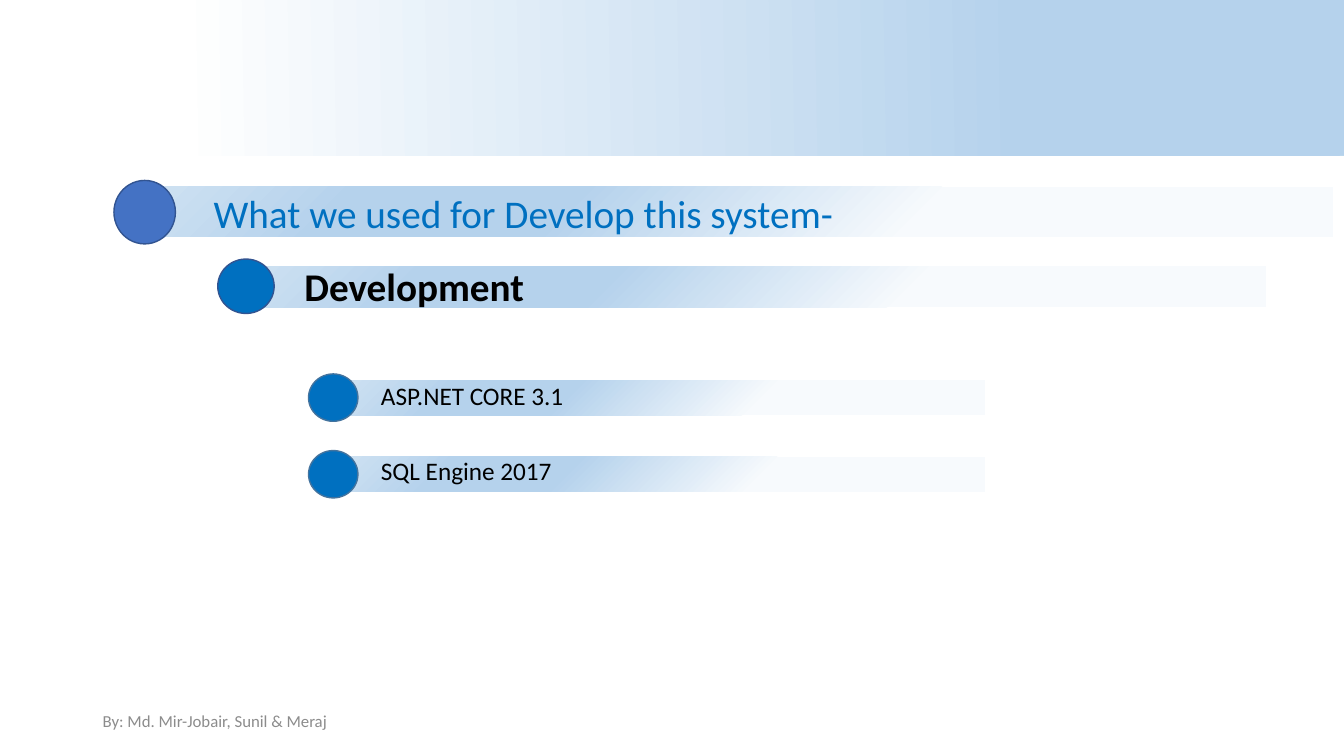
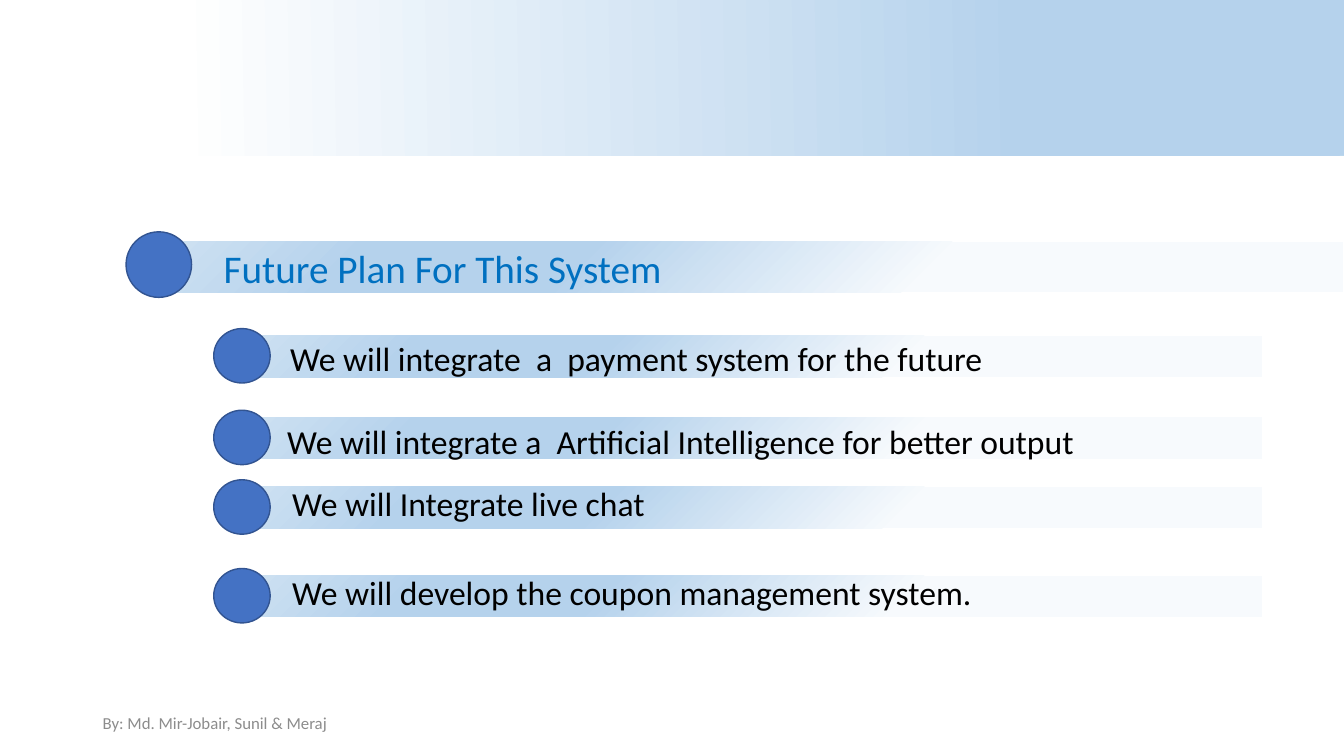
"""Build two slides of dotted gradient bars under a shared banner."""
from dataclasses import dataclass

from lxml import etree
from pptx import Presentation
from pptx.dml.color import RGBColor
from pptx.enum.shapes import MSO_SHAPE
from pptx.enum.text import MSO_ANCHOR, MSO_AUTO_SIZE
from pptx.oxml.ns import qn
from pptx.util import Inches, Pt

RECTANGLE, OVAL = MSO_SHAPE.RECTANGLE, MSO_SHAPE.OVAL
TOP, MIDDLE = MSO_ANCHOR.TOP, MSO_ANCHOR.MIDDLE
GROW = MSO_AUTO_SIZE.SHAPE_TO_FIT_TEXT

FONT = "Calibri"
FOOTER = "By: Md. Mir-Jobair, Sunil & Meraj"
BLANK_LAYOUT = 6
SLIDE_WIDTH, SLIDE_HEIGHT = 13.33, 7.5
COLORS = {
    "white": "FFFFFF",
    "black": "000000",
    "grey": "8C8C8C",
    "pale": "F7FAFD",
    "sky": "B5D2EC",
    "mist": "CEE1F2",
    "blue": "0070C0",
    "indigo": "4472C4",
    "indigo_line": "325491",
    "steel_line": "43739E",
}
BANNER_STOPS = [(13, "white"), (76, "sky"), (100, "sky"), (100, "mist")]
BAR_STOPS = [(35, "pale"), (65, "sky"), (83, "sky"), (100, "mist")]


@dataclass
class Level:
    """Sizes of a bar, its dot and its text, with offsets from the bar."""

    bar: tuple
    dot: tuple
    dot_offset: tuple
    text: tuple
    size: int
    color: str = "black"
    dot_color: str = "indigo"
    dot_line: str = "indigo_line"
    bold: bool = False


HEADING = {"bar": (11.7, 0.5), "text": (10.98, 0.57), "size": 28, "color": "blue"}
ITEM = {"bar": (10.08, 0.41), "dot": (0.56, 0.54), "dot_offset": (-0.32, -0.07)}
TOOLS_HEADING = Level(dot=(0.61, 0.63), dot_offset=(-0.39, -0.06), **HEADING)
PLAN_HEADING = Level(dot=(0.65, 0.65), dot_offset=(-0.37, -0.1), **HEADING)
SECTION = Level(text=(3.98, 0.57), size=28, dot_color="blue", bold=True, **ITEM)
PLAN = Level(text=(10.46, 0.5), size=24, **ITEM)
TOOL = Level(bar=(6.37, 0.35), dot=(0.49, 0.47), dot_offset=(-0.34, -0.06),
             text=(3.98, 0.4), size=18, dot_color="blue", dot_line="steel_line")


def rgb(name):
    """Return the named colour."""
    return RGBColor.from_string(COLORS[name])


def add_plain_shape(slide, kind, box):
    """Add a preset shape without shadow or outline."""
    shape = slide.shapes.add_shape(kind, *map(Inches, box))
    shape.shadow.inherit = False
    shape.line.fill.background()
    return shape


def add_gradient_box(slide, box, stops, clockwise_angle):
    """Add a rectangle with a linear gradient."""
    shape = add_plain_shape(slide, RECTANGLE, box)
    shape.fill.gradient()
    shape.fill.gradient_angle = 360 - clockwise_angle
    stop_list = next(shape.element.iter(qn("a:gsLst")))
    for old_stop in list(stop_list):
        stop_list.remove(old_stop)
    for percent, color in stops:
        stop = etree.SubElement(stop_list, qn("a:gs"), pos=str(percent * 1000))
        etree.SubElement(stop, qn("a:srgbClr"), val=COLORS[color])
    return shape


def add_text(slide, box, text, size, color, bold=False, anchor=TOP):
    """Add one line of text in a wrapping box."""
    text_box = slide.shapes.add_textbox(*map(Inches, box))
    frame = text_box.text_frame
    frame.word_wrap = True
    frame.vertical_anchor = anchor
    if anchor == TOP:
        frame.auto_size = GROW
    paragraph = frame.paragraphs[0]
    paragraph.text = text
    font = paragraph.font
    font.name, font.size, font.bold = FONT, Pt(size), bold
    font.color.rgb = rgb(color)


def add_dotted_bar(slide, level, left, top, text, text_offset):
    """Add a fading bar with a dot at its left end and text on it."""
    bar = add_gradient_box(slide, (left, top, *level.bar), BAR_STOPS, 45)
    bar.rotation = 180
    dot_left, dot_top = level.dot_offset
    dot = add_plain_shape(slide, OVAL, (left + dot_left, top + dot_top, *level.dot))
    dot.fill.solid()
    dot.fill.fore_color.rgb = rgb(level.dot_color)
    dot.line.color.rgb = rgb(level.dot_line)
    dot.line.width = Pt(1)
    text_left, text_top = text_offset
    add_text(slide, (left + text_left, top + text_top, *level.text),
             text, level.size, level.color, level.bold)


def add_slide(presentation, footer_top, rows):
    """Add a slide with banner, footer and the given dotted bars."""
    slide = presentation.slides.add_slide(presentation.slide_layouts[BLANK_LAYOUT])
    add_gradient_box(slide, (0.01, 0, 13.32, 1.54), BANNER_STOPS, 359)
    for row in rows:
        add_dotted_bar(slide, *row)
    add_text(slide, (0.92, footer_top, 3, 0.4), FOOTER, 12, "grey", anchor=MIDDLE)


def main():
    """Build and save the presentation."""
    presentation = Presentation()
    presentation.slide_width = Inches(SLIDE_WIDTH)
    presentation.slide_height = Inches(SLIDE_HEIGHT)
    add_slide(presentation, 6.95, [
        (TOOLS_HEADING, 1.52, 1.85, "What we used for Develop this system-", (0.5, -0.02)),
        (SECTION, 2.48, 2.64, "Development", (0.44, -0.09)),
        (TOOL, 3.4, 3.77, "ASP.NET CORE 3.1", (0.28, -0.05)),
        (TOOL, 3.4, 4.53, "SQL Engine 2017", (0.28, -0.06)),
    ])
    add_slide(presentation, 6.97, [
        (PLAN_HEADING, 1.62, 2.4, "Future Plan For This System", (0.5, -0.03)),
        (PLAN, 2.44, 3.33, "We will integrate  a  payment system for the future",
         (0.34, -0.03)),
        (PLAN, 2.44, 4.14, "We will integrate a  Artificial Intelligence for better output",
         (0.31, -0.01)),
        (PLAN, 2.44, 4.83, "We will Integrate live chat", (0.36, -0.09)),
        (PLAN, 2.44, 5.71, "We will develop the coupon management system.",
         (0.36, -0.09)),
    ])
    presentation.save("out.pptx")


if __name__ == "__main__":
    main()
